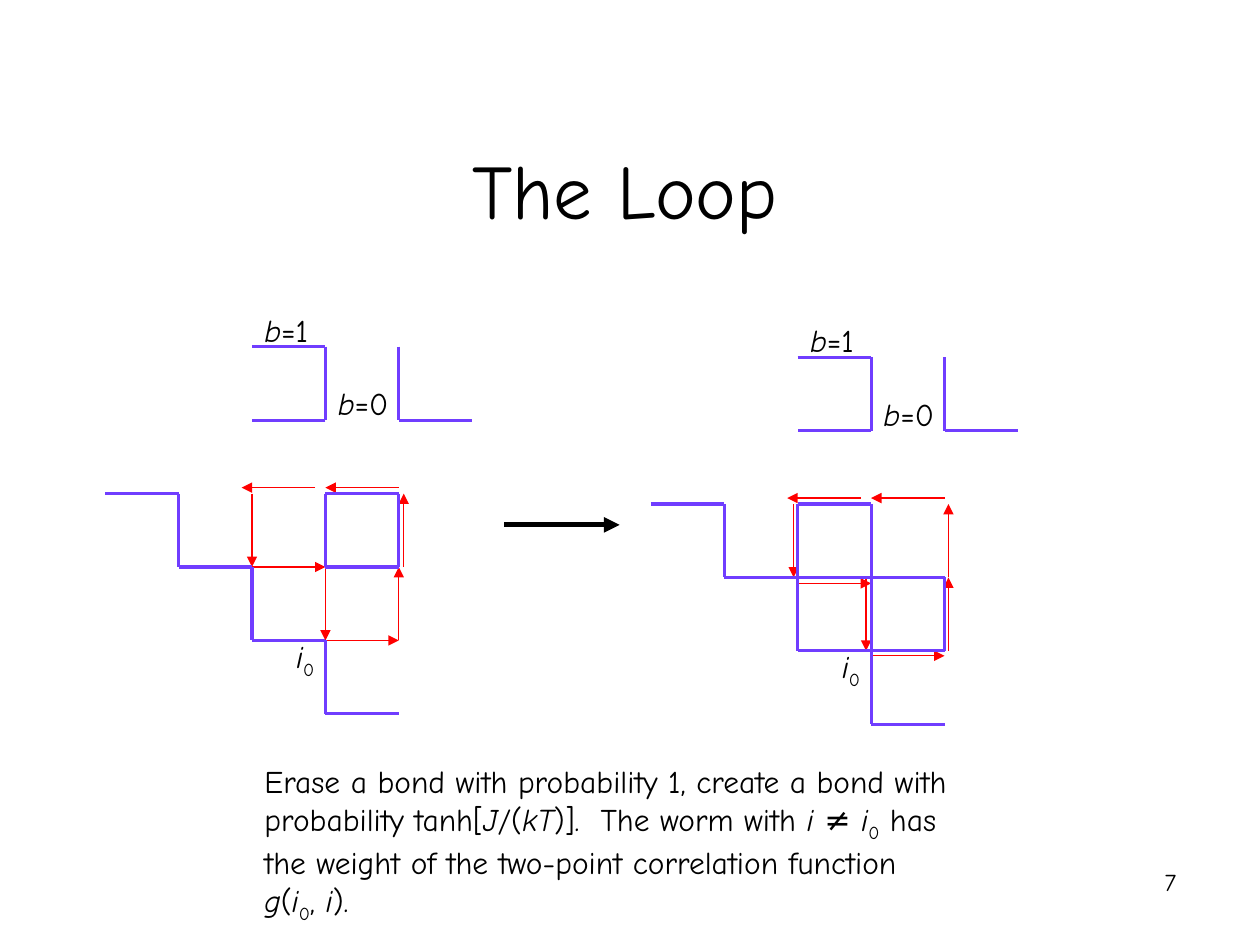
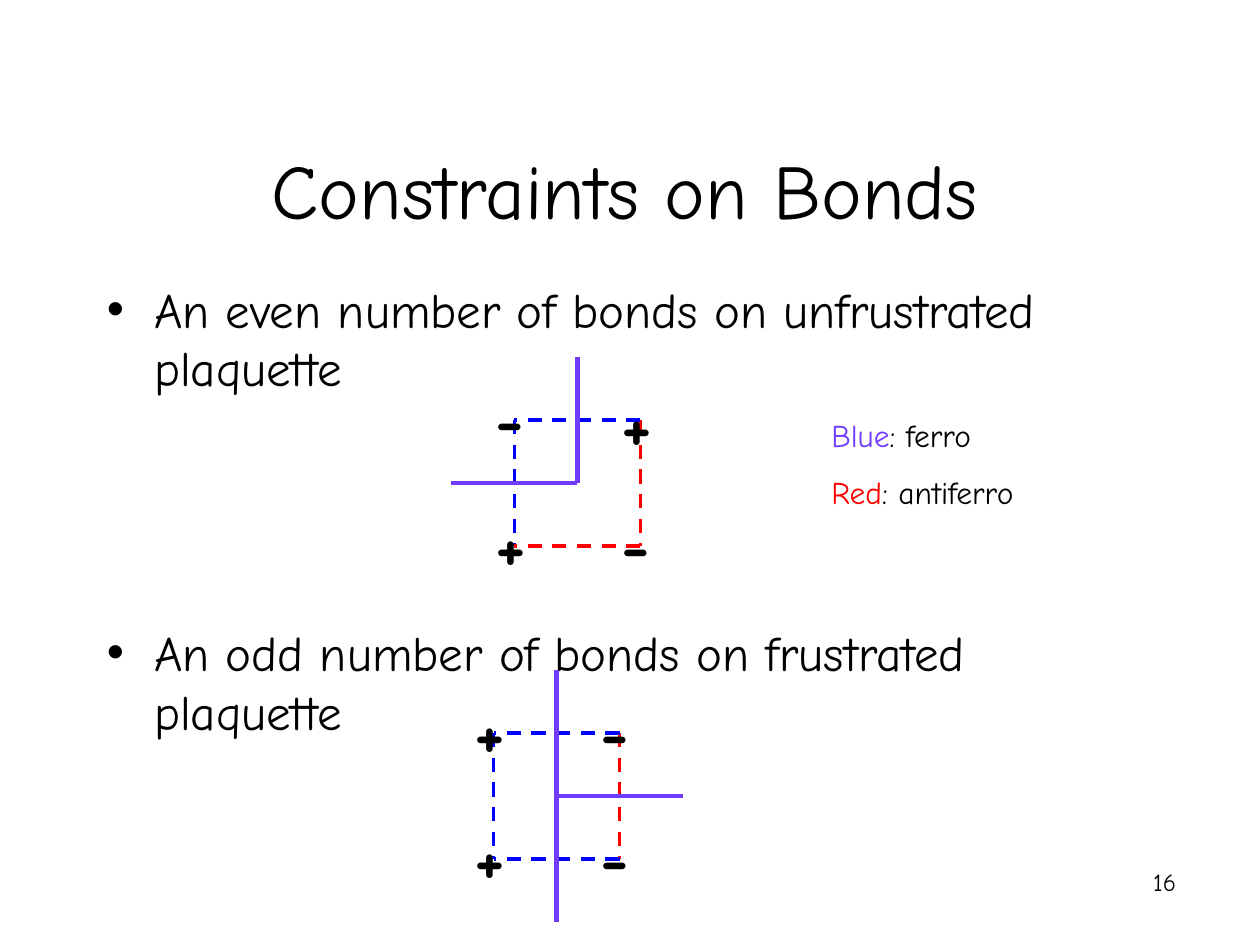
from dataclasses import dataclass
from itertools import pairwise
from typing import NamedTuple

from lxml.etree import SubElement
from pptx import Presentation
from pptx.dml.color import RGBColor
from pptx.enum.dml import MSO_LINE
from pptx.enum.shapes import MSO_CONNECTOR
from pptx.enum.text import MSO_ANCHOR, MSO_AUTO_SIZE, PP_ALIGN
from pptx.oxml.ns import qn
from pptx.util import Cm, Pt

FONT = "Comic Neue"
COLORS = {"ink": "000000", "bond": "703DFF", "red": "FF0000", "blue": "0000FF"}
CELL = 1.48  # lattice spacing, cm
SIDE = 2.54  # plaquette side, cm


class Point(NamedTuple):
    x: float
    y: float

    def move(self, x: float, y: float) -> "Point":
        return Point(self.x + x, self.y + y)


class Box(NamedTuple):
    x: float
    y: float
    w: float
    h: float


class Part(NamedTuple):
    """A piece of text: slant is italic, sub is subscript."""
    text: str
    color: str = "ink"
    slant: bool = False
    sub: bool = False


class Pen(NamedTuple):
    color: str
    width: float
    dash: bool = False
    arrow: bool = False


BOND = Pen("bond", 1.75)
STEP = Pen("red", 0.75, arrow=True)
ARM = Pen("bond", 2.5)


@dataclass
class Lattice:
    start: Point
    chains: list  # bonds of this lattice alone, as runs of (column, row) nodes
    shifts: list  # shift of each worm step off its bond, cm

    def node(self, col: int, row: int) -> Point:
        return self.start.move(col * CELL, row * CELL)


@dataclass
class Plaquette:
    corner: Point
    sides: tuple  # colours: left, right, top, bottom
    signs: tuple  # top left, top right, bottom left, bottom right
    drops: tuple  # extra drop of each sign, cm
    arms: tuple   # directions of the bonds from the centre


SHARED = [
    [(2, 0), (3, 0), (3, 1), (2, 1)],
    [(4, 0), (4, 1), (5, 1)],
    [(0, 2), (1, 2), (1, 3), (2, 3), (2, 4), (3, 4), (3, 5), (4, 5)],
    [(3, 2), (3, 3), (4, 3)],
]
WORM = [(2, 3), (3, 3), (3, 4), (4, 4), (4, 3), (4, 2), (3, 2), (2, 2), (2, 3)]
LATTICES = [
    Lattice(Point(2.12, 6.99), [[(3, 2), (4, 2), (4, 3)]],
            [(0, 0)] * 4 + [(0.1, 0), (0, -0.12), (-0.21, -0.12), (0, 0)]),
    Lattice(Point(13.12, 7.2),
            [[(3, 4), (4, 4), (4, 3)], [(3, 2), (2, 2), (2, 3), (3, 3), (3, 4)]],
            [(0, 0.12), (-0.1, 0), (0, 0.1), (0.08, 0), (0.08, 0),
             (0, -0.12), (-0.21, -0.12), (-0.08, 0)]),
]
LEFT, RIGHT, UP, DOWN = (-1, 0), (1, 0), (0, -1), (0, 1)
PLAQUETTES = [
    Plaquette(Point(10.37, 8.47), ("blue", "red", "blue", "red"), ("-", "+", "+", "-"),
              (0, 0.12, 0, 0), (LEFT, UP)),
    Plaquette(Point(9.95, 14.78), ("blue", "red", "blue", "blue"), ("+", "-", "+", "-"),
              (0, 0, 0, 0), (RIGHT, UP, DOWN)),
]
INDEX = [Part("i", slant=True), Part("0", sub=True)]
CAPTION = [
    Part("Erase a bond with probability 1, create a bond with probability tanh["),
    Part("J", slant=True), Part("/("), Part("kT", slant=True),
    Part(")].  The worm with "), Part("i ", slant=True), Part("≠ "), *INDEX,
    Part(" has the weight of the two-point correlation function "),
    Part("g", slant=True), Part("("), *INDEX, Part(", "),
    Part("i", slant=True), Part(")."),
]
LEGEND = [
    [Part("Blue", "bond"), Part(": ferro")],
    [Part("Red", "red"), Part(": antiferro")],
]
BULLETS = ["An even number of bonds on unfrustrated plaquette",
           "An odd number of bonds on frustrated plaquette"]


def rgb(name: str) -> RGBColor:
    return RGBColor.from_string(COLORS[name])


def style(run, size: float, color: str = "ink", bold: bool = False) -> None:
    font = run.font
    font.name, font.size, font.bold = FONT, Pt(size), bold
    font.color.rgb = rgb(color)


def place(shape, box: Box) -> None:
    shape.left, shape.top, shape.width, shape.height = map(Cm, box)


def note(slide, box: Box, paras: list, size: float = 18, bold: bool = False,
         align=PP_ALIGN.LEFT) -> None:
    """Add a text box; each paragraph is a list of parts."""
    frame = slide.shapes.add_textbox(*map(Cm, box)).text_frame
    frame.word_wrap = True
    for i, parts in enumerate(paras):
        para = frame.add_paragraph() if i else frame.paragraphs[0]
        para.alignment = align
        para.space_before = Pt(11.2 if i else 0)
        for part in parts:
            run = para.add_run()
            run.text = part.text
            style(run, size, part.color, bold)
            run.font.italic = part.slant
            if part.sub:
                run.font._element.set("baseline", "-25000")


def line(slide, start: Point, end: Point, pen: Pen) -> None:
    link = slide.shapes.add_connector(MSO_CONNECTOR.STRAIGHT, *map(Cm, (*start, *end)))
    link.line.color.rgb = rgb(pen.color)
    link.line.width = Pt(pen.width)
    if pen.dash:
        link.line.dash_style = MSO_LINE.DASH
    props = link._element.spPr
    if pen.arrow:
        SubElement(props.find(qn("a:ln")), qn("a:tailEnd"), type="triangle")
    SubElement(props, qn("a:effectLst"))


def new_slide(deck, layout: int, title: str, number: int):
    slide = deck.slides.add_slide(deck.slide_layouts[layout])
    head = slide.shapes.title
    place(head, Box(1.9, 0.42, 21.4, 4.45))
    frame = head.text_frame
    frame.text = title
    frame.auto_size = MSO_AUTO_SIZE.NONE
    frame.vertical_anchor = MSO_ANCHOR.BOTTOM
    frame.paragraphs[0].alignment = PP_ALIGN.CENTER
    style(frame.paragraphs[0].runs[0], 44)
    note(slide, Box(18.67, 17.36, 5.29, 1.27), [[Part(str(number))]], 14,
         align=PP_ALIGN.RIGHT)
    return slide


def draw_lattice(slide, grid: Lattice) -> None:
    for (a, b), shift in zip(pairwise(WORM), grid.shifts):
        line(slide, grid.node(*a).move(*shift), grid.node(*b).move(*shift), STEP)
    for chain in SHARED + grid.chains:
        for a, b in pairwise(chain):
            line(slide, grid.node(*a), grid.node(*b), BOND)
    for node, value in (((2, 0), "=1"), ((3, 1), "=0")):
        note(slide, Box(*grid.node(*node).move(0, -0.85), 1.9, 1.02),
             [[Part("b", slant=True), Part(value)]])
    note(slide, Box(*grid.node(2, 4).move(0.64, -0.2), 1.52, 1.12), [INDEX])


def draw_plaquette(slide, plaq: Plaquette) -> None:
    corners = [plaq.corner.move(x, y) for y in (0, SIDE) for x in (0, SIDE)]
    ends = ((0, 2), (1, 3), (1, 0), (3, 2))
    for (a, b), color in zip(ends, plaq.sides):
        line(slide, corners[a], corners[b], Pen(color, 2, dash=True))
    for corner, sign, drop in zip(corners, plaq.signs, plaq.drops):
        note(slide, Box(*corner.move(-0.64, drop - 1.04), 1.07, 1.96),
             [[Part(sign)]], 40, bold=True)
    hub = plaq.corner.move(SIDE / 2, SIDE / 2)
    for x, y in plaq.arms:
        line(slide, hub, hub.move(x * SIDE, y * SIDE), ARM)


def loop_slide(deck) -> None:
    slide = new_slide(deck, 5, "The Loop", 7)
    for grid in LATTICES:
        draw_lattice(slide, grid)
    line(slide, Point(10.16, 10.58), Point(12.49, 10.58), Pen("ink", 3, arrow=True))
    note(slide, Box(5.08, 15.24, 14.4, 3.5), [CAPTION])


def bond_slide(deck) -> None:
    slide = new_slide(deck, 1, "Constraints on Bonds", 16)
    body = slide.placeholders[1]
    place(body, Box(1.9, 5.5, 21.4, 10.16))
    frame = body.text_frame
    frame.text = "\n".join(BULLETS)
    frame.auto_size = MSO_AUTO_SIZE.NONE
    for para, gap in zip(frame.paragraphs, (0, 129)):
        para.space_before = Pt(gap)
        style(para.runs[0], 28)
    for plaq in PLAQUETTES:
        draw_plaquette(slide, plaq)
    note(slide, Box(16.51, 8.26, 5.5, 2.18), LEGEND)


def main() -> None:
    deck = Presentation()
    deck.slide_width, deck.slide_height = Cm(25.4), Cm(19.05)
    loop_slide(deck)
    bond_slide(deck)
    deck.save("out.pptx")


if __name__ == "__main__":
    main()
